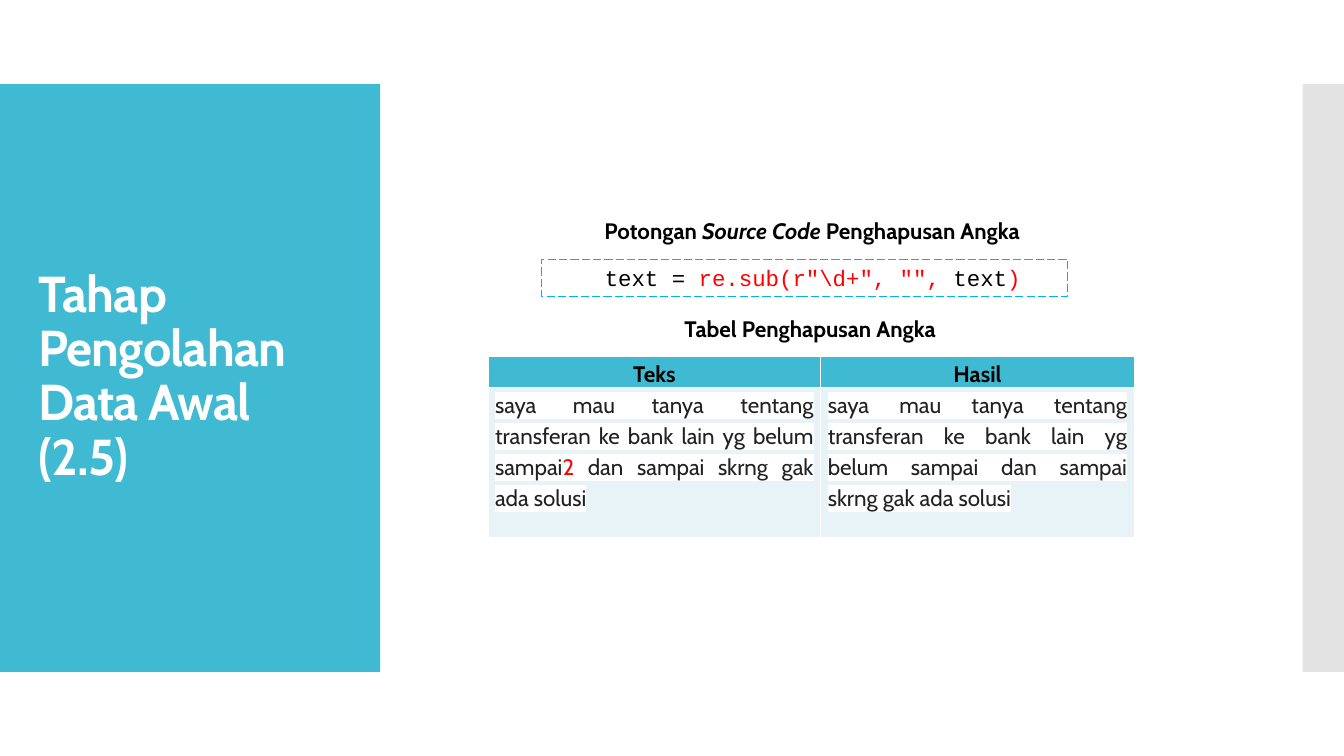
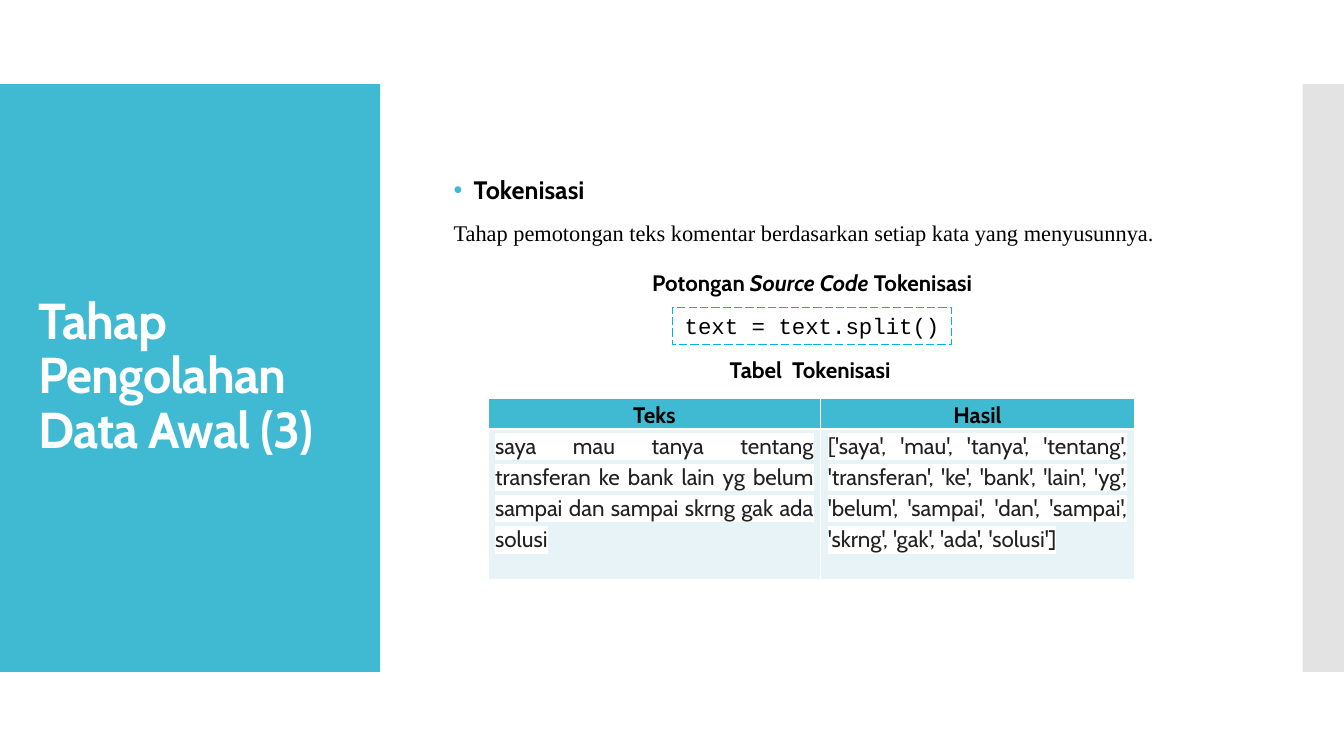
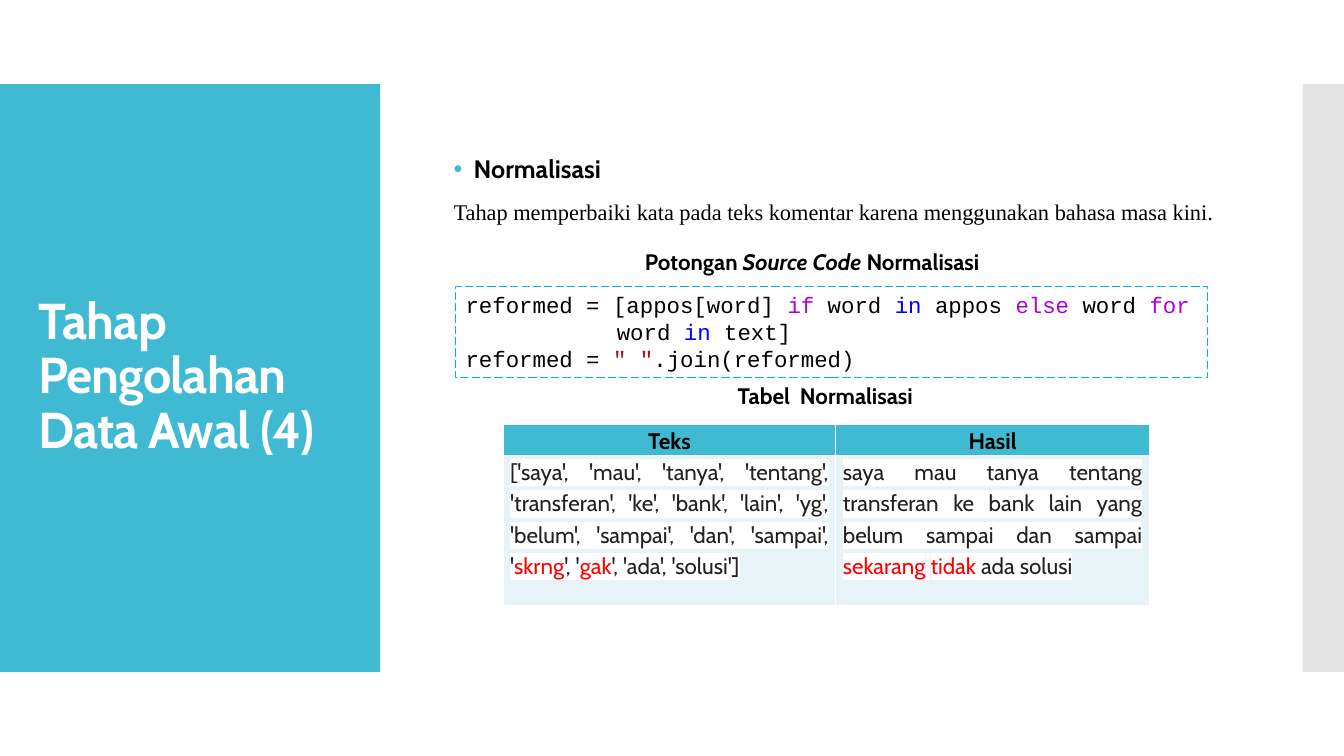
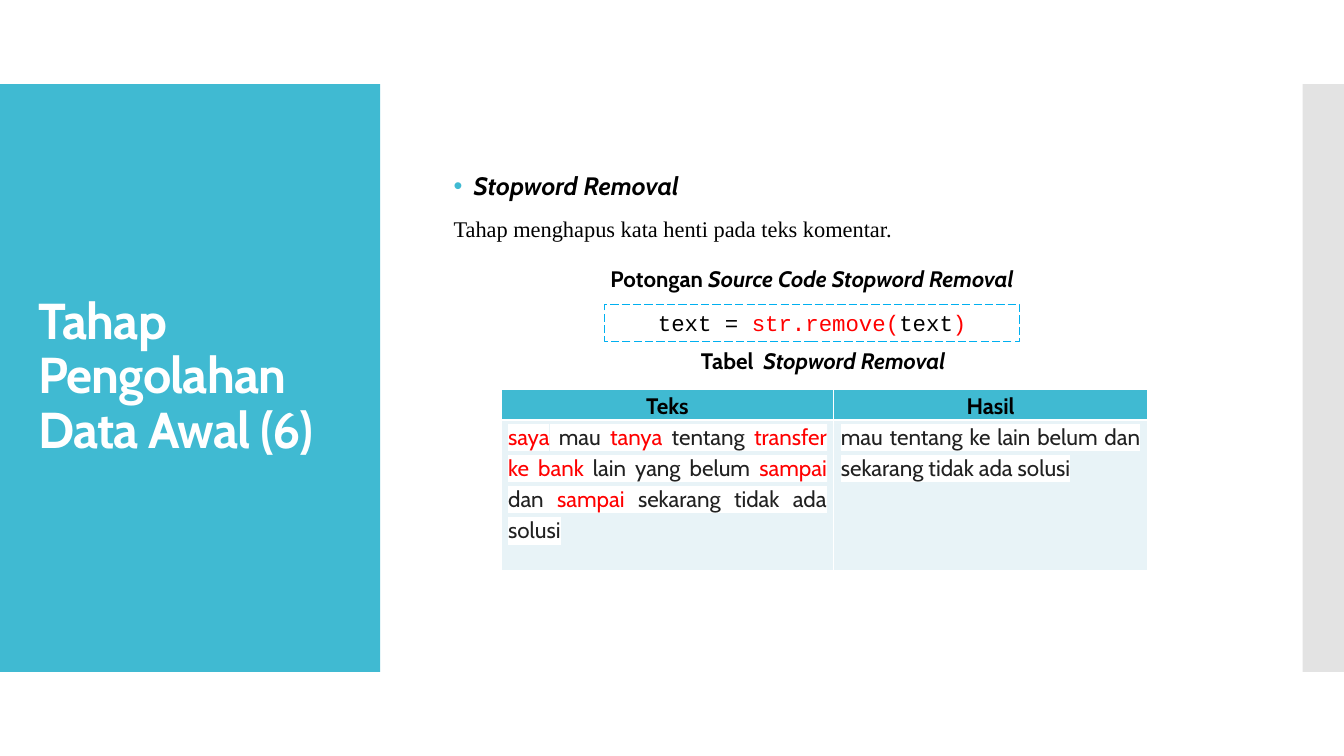
from lxml.etree import SubElement, Element
from pptx import Presentation
from pptx.dml.color import RGBColor
from pptx.enum.dml import MSO_LINE
from pptx.enum.shapes import MSO_SHAPE
from pptx.enum.text import MSO_ANCHOR, PP_ALIGN
from pptx.oxml.ns import qn
from pptx.util import Inches, Pt

# Shared look
TEAL, PALE, GREY, WHITE, BLACK = "40BAD2", "E8F3F7", "C8C8C8", "FFFFFF", "000000"
INK, SKY = "212121", "00B0F0"
SANS, MONO, SERIF = "Cabin", "Courier New", "Times New Roman"
RED = dict(color="FF0000")
PURPLE = dict(color="AF00DB")
BLUE = dict(color="0000FF")
BROWN = dict(color="A31515")
ITALIC = dict(italic=True)
LEFT, CENTER, JUSTIFY = PP_ALIGN.LEFT, PP_ALIGN.CENTER, PP_ALIGN.JUSTIFY

# Content: a text is a list of runs, each a string or (string, format)
RAW = "saya mau tanya tentang transferan ke bank lain yg belum sampai"
CLEAN = RAW + " dan sampai skrng gak ada solusi"
SLIDES = [
    dict(number="2.5", intro=None,
         caption=["Potongan", (" Source Code ", ITALIC), "Penghapusan Angka"], caption_top=2.1,
         code=[["text = ", ('re.sub(r"\\d+", "",', RED), " text", (")", RED)]],
         code_box=(5.37, 2.57, 5.22, 0.37), code_format=dict(margin=0.53),
         table_caption=["Tabel Penghapusan Angka"], table_at=(4.84, 3.54),
         cells=([RAW, ("2", RED), " dan sampai skrng gak ada solusi"], [CLEAN])),
    dict(number="3",
         intro=(["Tokenisasi"],
                "Tahap pemotongan teks komentar berdasarkan setiap kata yang menyusunnya."),
         caption=["Potongan", (" Source Code ", ITALIC), "Tokenisasi"], caption_top=2.62,
         code=[["text = text.split()"]],
         code_box=(6.67, 3.05, 2.77, 0.37), code_format=dict(align=CENTER),
         table_caption=["Tabel  Tokenisasi"], table_at=(4.84, 3.95),
         cells=([CLEAN], [str(CLEAN.split())])),
    dict(number="4",
         intro=(["Normalisasi"],
                "Tahap memperbaiki kata pada teks komentar karena menggunakan bahasa masa kini."),
         caption=["Potongan", (" Source Code ", ITALIC), "Normalisasi"], caption_top=2.41,
         code=[["reformed = [appos[word] ", ("if", PURPLE), " word ", ("in ", BLUE), "appos ",
                ("else", PURPLE), " word ", ("for", PURPLE), " word ", ("in", BLUE), " text]"],
               ["reformed = ", ('" "', BROWN), ".join(reformed)"]],
         code_box=(4.52, 2.84, 7.46, 0.91), code_format=dict(margin=1.5, indent=-1.5),
         table_caption=["Tabel  Normalisasi"], table_at=(4.99, 4.21),
         cells=([str(RAW.split() + ["dan", "sampai"])[:-1] + ", '", ("skrng", RED), "', '",
                 ("gak", RED), "', 'ada', 'solusi']"],
                ["saya mau tanya tentang transferan ke bank lain yang belum sampai dan sampai ",
                 ("sekarang", RED), " ", ("tidak", RED), " ada solusi"])),
    dict(number="6",
         intro=([("Stopword Removal", ITALIC)], "Tahap menghapus kata henti pada teks komentar."),
         caption=["Potongan", (" Source Code Stopword Removal", ITALIC)], caption_top=2.58,
         code=[["text = ", ("str.remove(", RED), "text", (")", RED)]],
         code_box=(6, 3.02, 4.11, 0.37), code_format=dict(align=CENTER),
         table_caption=["Tabel  ", ("Stopword Removal", ITALIC)], table_at=(4.97, 3.86),
         cells=([("saya", RED), " mau ", ("tanya", RED), " tentang ", ("transfer", RED), " ",
                 ("ke", RED), " ", ("bank", RED), " lain yang belum ", ("sampai", RED), " dan ",
                 ("sampai", RED), " sekarang tidak ada solusi"],
                ["mau tentang ke lain belum dan sekarang tidak ada solusi"])),
]

# Measures in inches
WIDTH, HEIGHT = 13.33, 7.5
BAND_TOP, BAND_HEIGHT = HEIGHT / 9, HEIGHT * 7 / 9
CAPTION_LEFT, CAPTION_SIZE = 5.52, (5.07, 0.37)
COLUMNS, ROWS = (3.3, 3.11), (0.28, 1.49)
INTRO_RISE, CAPTION_RISE, CAPTION_SHIFT = 1.22, 0.47, 0.66


def rgb(value):
    return RGBColor.from_string(value)


def inches(values):
    return [Inches(v) for v in values]


def write(p, runs, font=SANS, size=16, color=BLACK, bold=False, italic=False, align=LEFT,
          line=None, before=None, margin=0, indent=0, bullet=None, highlight=None, spacing=None):
    """Fill paragraph p with runs in the given format."""
    p.alignment, p.line_spacing = align, line
    if before:
        p.space_before = Pt(before)
    pPr = p._p.get_or_add_pPr()
    pPr.set("marL", str(Inches(margin)))
    pPr.set("indent", str(Inches(indent)))
    if bullet:
        SubElement(SubElement(pPr, qn("a:buClr")), qn("a:srgbClr"), val=bullet)
        SubElement(pPr, qn("a:buFont"), typeface="Arial")
        SubElement(pPr, qn("a:buChar"), char="•")
    for run in runs:
        text, special = (run, {}) if isinstance(run, str) else run
        r = p.add_run()
        r.text = text
        r.font.name, r.font.size, r.font.bold = font, Pt(size), bold
        r.font.italic = special.get("italic", italic)
        r.font.color.rgb = rgb(special.get("color", color))
        rPr = r.font._element
        if spacing:
            rPr.set("spc", str(spacing))
        if highlight:
            mark = Element(qn("a:highlight"))
            SubElement(mark, qn("a:srgbClr"), val=highlight)
            rPr.find(qn("a:solidFill")).addnext(mark)


def add_text(s, box, runs, **fmt):
    tf = s.shapes.add_textbox(*inches(box)).text_frame
    tf.word_wrap, tf.vertical_anchor = True, MSO_ANCHOR.MIDDLE
    write(tf.paragraphs[0], runs, **fmt)
    return tf


def add_rect(s, box, fill=None, alpha=None):
    sp = s.shapes.add_shape(MSO_SHAPE.RECTANGLE, *inches(box))
    sp.shadow.inherit = False
    sp.line.fill.background()
    if fill:
        sp.fill.solid()
        sp.fill.fore_color.rgb = rgb(fill)
    else:
        sp.fill.background()
    if alpha:
        color = sp._element.spPr.find(qn("a:solidFill")).find(qn("a:srgbClr"))
        SubElement(color, qn("a:alpha"), val=str(alpha * 1000))
    return sp


def add_frame(s, number):
    """Side bands and title."""
    add_rect(s, (0, BAND_TOP, 3.77, BAND_HEIGHT), TEAL)
    add_rect(s, (12.92, BAND_TOP, WIDTH - 12.92, BAND_HEIGHT), GREY, alpha=50)
    add_text(s, (0.28, 1.23, 3.22, 5.03), [f"Tahap Pengolahan Data Awal ({number})"],
             size=36, color=WHITE, bold=True, line=0.9, spacing=-60)


def add_intro(s, top, heading, sentence):
    tf = add_text(s, (4.4, top, 8, 1.41), heading, size=18, bold=True, line=0.9, before=12,
                  margin=0.2, indent=-0.2, bullet=TEAL)
    write(tf.add_paragraph(), [sentence], font=SERIF, line=0.9, before=12)


def add_code(s, box, lines, fmt):
    sp = add_rect(s, box)
    sp.line.color.rgb = rgb(SKY)
    sp.line.width, sp.line.dash_style = Pt(0.75), MSO_LINE.LONG_DASH
    tf = sp.text_frame
    tf.word_wrap, tf.vertical_anchor = True, MSO_ANCHOR.TOP
    for i, runs in enumerate(lines):
        write(tf.add_paragraph() if i else tf.paragraphs[0], runs, font=MONO, **fmt)


def style_cell(cell, fill):
    cell.margin_left = cell.margin_right = Inches(0.07)
    cell.margin_top = cell.margin_bottom = 0
    tcPr = cell._tc.get_or_add_tcPr()
    for side in ("lnL", "lnR", "lnT", "lnB"):
        ln = SubElement(tcPr, qn("a:" + side), w=str(Pt(1)))
        SubElement(SubElement(ln, qn("a:solidFill")), qn("a:srgbClr"), val=WHITE)
    cell.fill.solid()
    cell.fill.fore_color.rgb = rgb(fill)


def add_result_table(s, at, cells):
    table = s.shapes.add_table(2, 2, *inches((*at, sum(COLUMNS), sum(ROWS)))).table
    for i in range(2):
        table.columns[i].width, table.rows[i].height = Inches(COLUMNS[i]), Inches(ROWS[i])
    for col, (header, runs) in enumerate(zip(("Teks", "Hasil"), cells)):
        head, body = table.cell(0, col), table.cell(1, col)
        style_cell(head, TEAL)
        style_cell(body, PALE)
        head.vertical_anchor = MSO_ANCHOR.MIDDLE
        write(head.text_frame.paragraphs[0], [header], bold=True, align=CENTER, line=1.15)
        write(body.text_frame.paragraphs[0], runs, color=INK, align=JUSTIFY, line=1.15,
              highlight=WHITE)


# Build the slides
prs = Presentation()
prs.slide_width, prs.slide_height = Inches(WIDTH), Inches(HEIGHT)
for d in SLIDES:
    s = prs.slides.add_slide(prs.slide_layouts[6])
    add_frame(s, d["number"])
    if d["intro"]:
        add_intro(s, d["caption_top"] - INTRO_RISE, *d["intro"])
    add_code(s, d["code_box"], d["code"], d["code_format"])
    add_result_table(s, d["table_at"], d["cells"])
    left, top = d["table_at"]
    add_text(s, (left + CAPTION_SHIFT, top - CAPTION_RISE, *CAPTION_SIZE), d["table_caption"],
             bold=True, align=CENTER)
    add_text(s, (CAPTION_LEFT, d["caption_top"], *CAPTION_SIZE), d["caption"],
             bold=True, align=CENTER)
prs.save("out.pptx")
